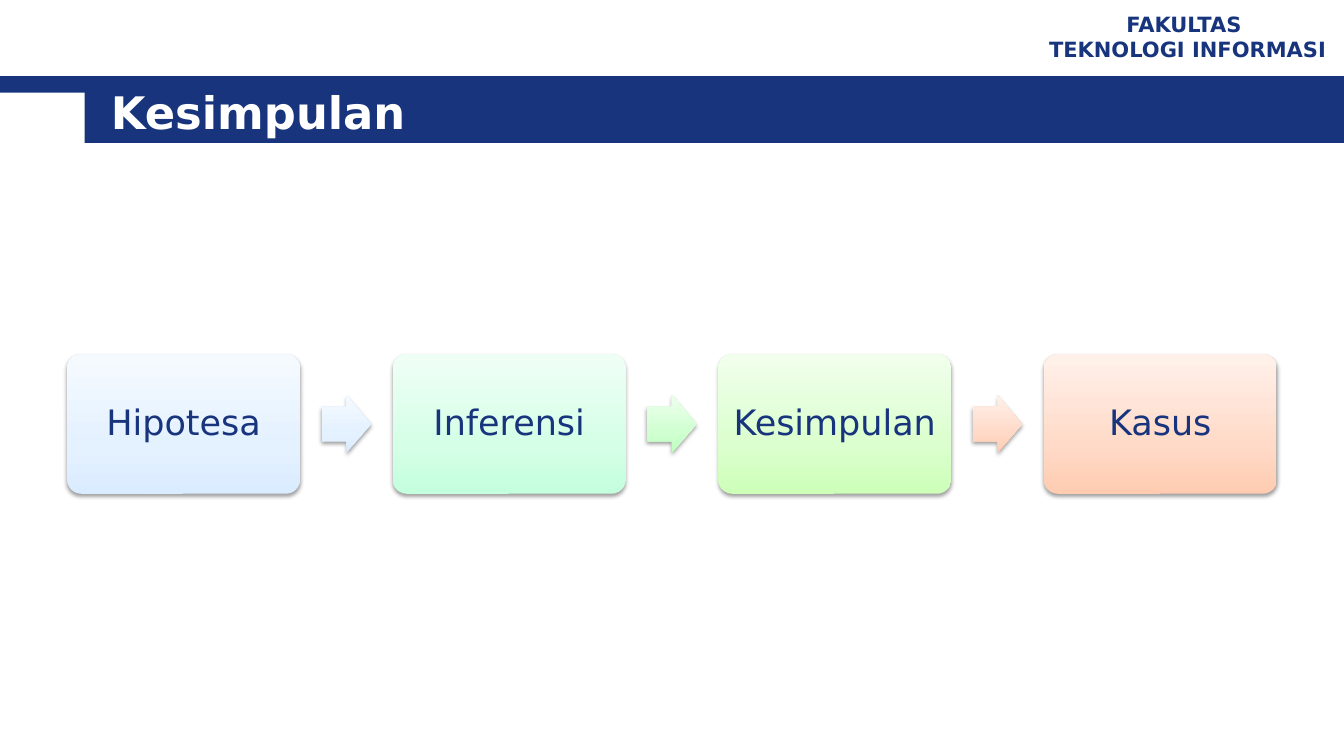
from lxml import etree
from pptx import Presentation
from pptx.dml.color import RGBColor
from pptx.enum.shapes import MSO_SHAPE
from pptx.enum.text import MSO_ANCHOR, MSO_AUTO_SIZE, PP_ALIGN
from pptx.oxml import parse_xml
from pptx.util import Pt

RECT, ROUNDED, ARROW = MSO_SHAPE.RECTANGLE, MSO_SHAPE.ROUNDED_RECTANGLE, MSO_SHAPE.RIGHT_ARROW
MIDDLE, NO_FIT = MSO_ANCHOR.MIDDLE, MSO_AUTO_SIZE.NONE
LEFT, CENTER = PP_ALIGN.LEFT, PP_ALIGN.CENTER
NS = "http://schemas.openxmlformats.org/drawingml/2006/main"

TITLE = "Kesimpulan"
FACULTY = ["FAKULTAS ", "TEKNOLOGI INFORMASI"]
STEPS = [
    ("Hipotesa", "blue", "blue"),
    ("Inferensi", "mint", "green"),
    ("Kesimpulan", "lime", "peach"),
    ("Kasus", "peach", None),
]

THEME = {
    "font": "DejaVu Sans",
    "navy": "17347D",
    "white": "FFFFFF",
    "title": 32,
    "faculty": 15,
    "step": 25,
    "blue": ("DAECFF", "E4F1FF", "F5FAFF"),
    "mint": ("C4FFDE", "D5FFE7", "EFFFF6"),
    "green": ("BCFFBE", "D0FFD1", "EDFFED"),
    "lime": ("CDFFB9", "DBFFCE", "F1FFEC"),
    "peach": ("FFCCB1", "FFDAC8", "FFF1EA"),
}

SLIDE_W, SLIDE_H = 960, 540
BANDS = [(0, 54.4, SLIDE_W, 11.9), (60.4, 54.4, SLIDE_W - 60.4, 47.7)]
FACULTY_BOX = (736.7, 3.6, 223.2, 44.6)
TITLE_BOX = (72, 57.6, 856, 44.6)
FIRST_LEFT, PITCH, MID_Y = 48, 232.55, 302.9
STEP_W, STEP_H = 166.3, 99.6
ARROW_W, ARROW_H = 35.3, 41.2


def write(sp, lines, size, color, align, bold=False, spacing=None, inset=7.2):
    tf = sp.text_frame
    frame = {"word_wrap": True, "auto_size": NO_FIT, "vertical_anchor": MIDDLE,
             "margin_left": Pt(inset), "margin_right": Pt(inset)}
    for name, value in frame.items():
        setattr(tf, name, value)
    for i, line in enumerate(lines):
        p = tf.add_paragraph() if i else tf.paragraphs[0]
        p.alignment, p.line_spacing = align, spacing
        r = p.add_run()
        r.text = line
        for name, value in {"name": THEME["font"], "size": Pt(size), "bold": bold}.items():
            setattr(r.font, name, value)
        r.font.color.rgb = RGBColor.from_string(THEME[color])


def add_shape(shapes, kind, box):
    sp = shapes.add_shape(kind, *map(Pt, box))
    sp.shadow.inherit = False
    sp.line.fill.background()
    return sp


def shade(sp, tint):
    sp.fill.gradient()
    grad = sp.element.spPr.find(f"{{{NS}}}gradFill")
    stops = "".join(
        f'<a:gs pos="{pos}"><a:srgbClr val="{color}"/></a:gs>'
        for pos, color in zip((0, 35000, 100000), THEME[tint])
    )
    grad.getparent().replace(grad, parse_xml(
        f'<a:gradFill xmlns:a="{NS}" rotWithShape="1"><a:gsLst>{stops}</a:gsLst>'
        '<a:lin ang="16200000" scaled="0"/></a:gradFill>'))
    effects = sp.element.spPr.find(f"{{{NS}}}effectLst")
    shadow = etree.SubElement(effects, f"{{{NS}}}outerShdw", blurRad=str(Pt(3.1)),
                              dist=str(Pt(1.6)), dir="5400000", rotWithShape="0")
    black = etree.SubElement(shadow, f"{{{NS}}}srgbClr", val="000000")
    etree.SubElement(black, f"{{{NS}}}alpha", val="38000")


def add_steps(shapes):
    gap = PITCH - STEP_W
    for i, (label, tint, arrow_tint) in enumerate(STEPS):
        left = FIRST_LEFT + i * PITCH
        sp = add_shape(shapes, ROUNDED, (left, MID_Y - STEP_H / 2, STEP_W, STEP_H))
        sp.adjustments[0] = 0.1
        shade(sp, tint)
        write(sp, [label], THEME["step"], "navy", CENTER, spacing=0.9, inset=7)
        if arrow_tint:
            arrow_left = left + STEP_W + (gap - ARROW_W) / 2
            sp = add_shape(shapes, ARROW, (arrow_left, MID_Y - ARROW_H / 2, ARROW_W, ARROW_H))
            sp.adjustments[0], sp.adjustments[1] = 0.6, 0.5
            shade(sp, arrow_tint)


def main():
    prs = Presentation()
    prs.slide_width, prs.slide_height = Pt(SLIDE_W), Pt(SLIDE_H)
    shapes = prs.slides.add_slide(prs.slide_layouts[5]).shapes
    for box in BANDS:
        sp = add_shape(shapes, RECT, box)
        sp.fill.solid()
        sp.fill.fore_color.rgb = RGBColor.from_string(THEME["navy"])

    sp = shapes.add_textbox(*map(Pt, FACULTY_BOX))
    write(sp, FACULTY, THEME["faculty"], "navy", CENTER, bold=True)

    title = shapes.title
    for name, value in zip(("left", "top", "width", "height"), TITLE_BOX):
        setattr(title, name, Pt(value))
    write(title, [TITLE], THEME["title"], "white", LEFT, bold=True)
    shapes.element.append(title.element)

    add_steps(shapes)
    prs.save("out.pptx")


if __name__ == "__main__":
    main()
